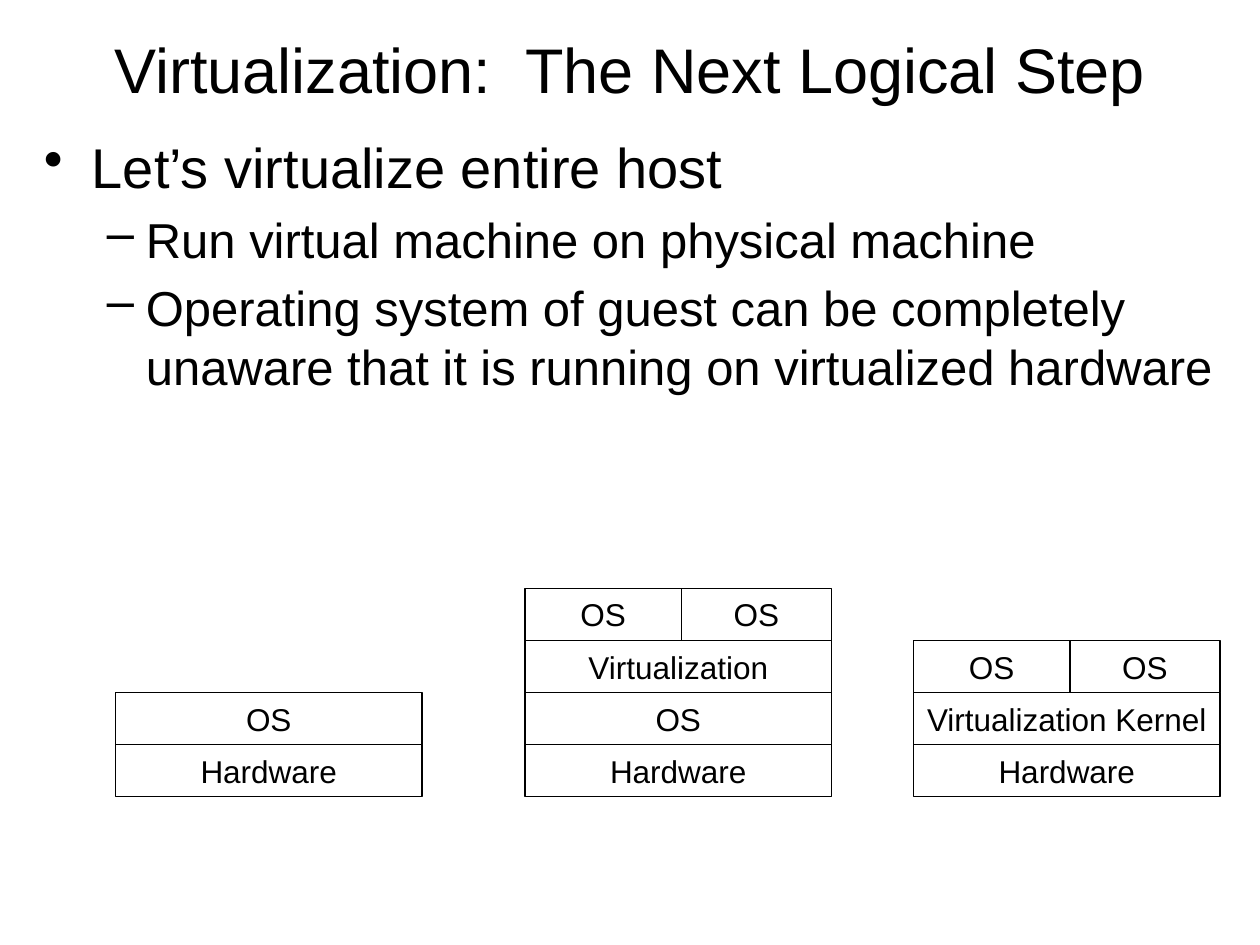
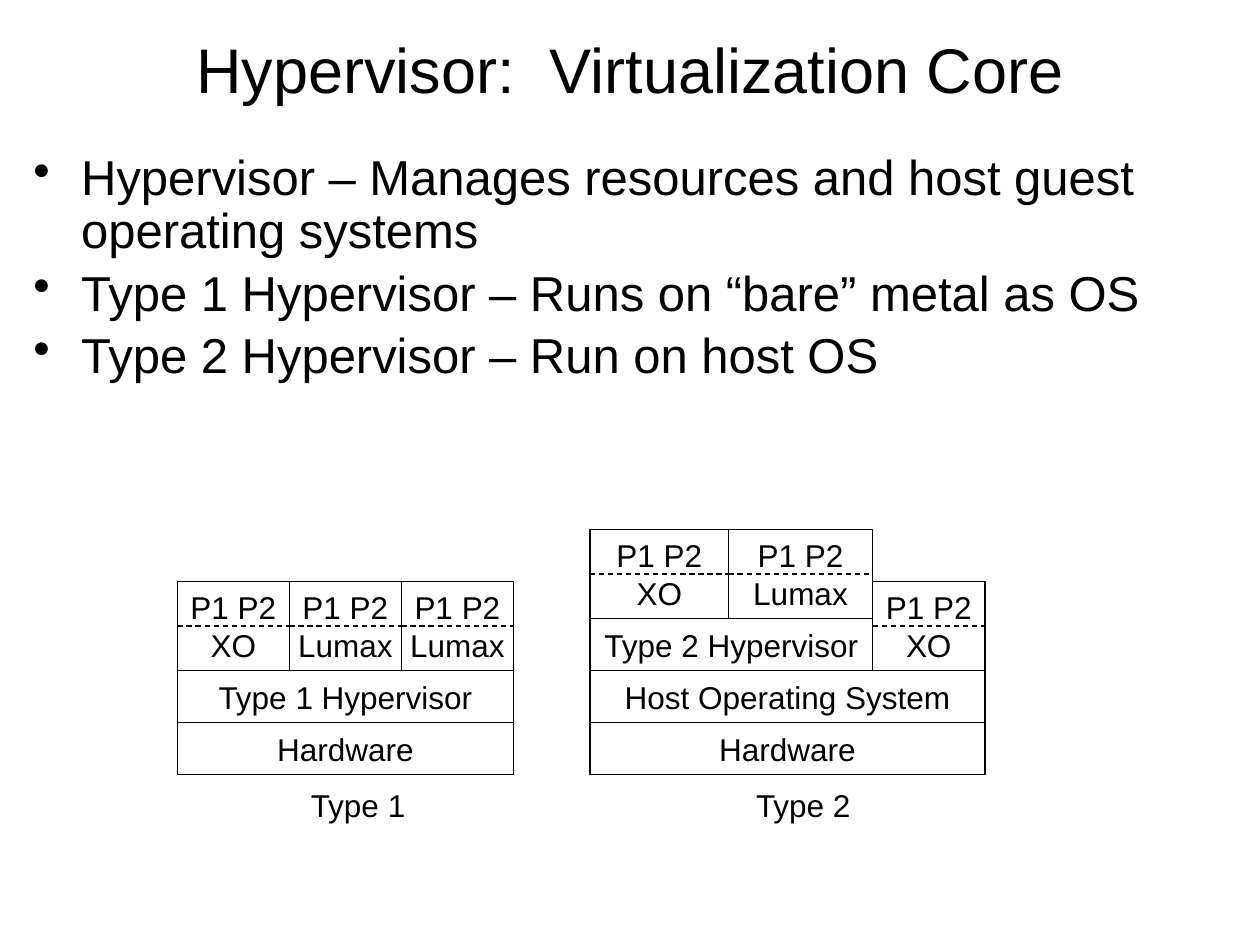
import pptx
import pptx.util
import pptx.dml.color
import pptx.enum.dml
import pptx.enum.shapes
import pptx.enum.text
import pptx.oxml
import pptx.oxml.ns
import lxml.etree

# Shared look: a grid of 120 columns by 90 rows
COLS, ROWS = 120, 90
WIDE, HIGH = pptx.util.Inches(10), pptx.util.Inches(7.5)
HUES = {"ink": "000000", "page": "FFFFFF"}
FACE = "Arial"
SIZE = {"title": 36, "top": 32, "sub": 28, "box": 18}
BOX, GUEST = 4.96, 8.5  # row heights of one-line and two-line boxes
LEVELS = [("•", 0.38, 0.38), ("–", 0.81, 0.31)]  # mark, indent, hang
MID = pptx.enum.text.MSO_ANCHOR.MIDDLE
TOP = pptx.enum.text.MSO_ANCHOR.TOP
CENTER = pptx.enum.text.PP_ALIGN.CENTER
LEFT = pptx.enum.text.PP_ALIGN.LEFT


def hue(name):
    return pptx.dml.color.RGBColor.from_string(HUES[name])


def place(left, top, width, height):
    """Turn grid columns and rows into slide lengths."""
    return [int(left * WIDE / COLS), int(top * HIGH / ROWS),
            int(width * WIDE / COLS), int(height * HIGH / ROWS)]


def style(item, looks):
    for key, value in looks.items():
        setattr(item, key, value)


def write(frame, lines, size, align=CENTER, anchor=MID, wrap=False):
    """Fill a text frame with one paragraph for each line."""
    style(frame, {"word_wrap": wrap, "vertical_anchor": anchor,
                  "auto_size": pptx.enum.text.MSO_AUTO_SIZE.NONE})
    frame.text = "\n".join(lines)
    for para in frame.paragraphs:
        para.alignment = align
        style(para.font, {"name": FACE, "size": pptx.util.Pt(size)})
        para.font.color.rgb = hue("ink")


def start(deck, title):
    """Add a slide with its title."""
    slide = deck.slides.add_slide(deck.slide_layouts[5])
    slide.background.fill.solid()
    slide.background.fill.fore_color.rgb = hue("page")
    head = slide.shapes.title
    style(head, dict(zip(("left", "top", "width", "height"),
                         place(6, 2, 108, 9))))
    write(head.text_frame, [title], SIZE["title"], wrap=True)
    return slide


def points(slide, area, items, space=1.0):
    """Add a bullet list; each item is (level, size, text)."""
    frame = slide.shapes.add_textbox(*place(*area)).text_frame
    write(frame, [text for _, _, text in items], SIZE["sub"], LEFT, TOP, True)
    for para, (level, size, _) in zip(frame.paragraphs, items):
        mark, indent, hang = LEVELS[level]
        para.font.size = pptx.util.Pt(size)
        style(para, {"level": level, "line_spacing": space,
                     "space_before": pptx.util.Pt(size * 0.2)})
        props = para._p.get_or_add_pPr()
        props.set("marL", str(pptx.util.Inches(indent)))
        props.set("indent", str(-pptx.util.Inches(hang)))
        bullet = lxml.etree.SubElement(props, pptx.oxml.ns.qn("a:buChar"))
        bullet.set("char", mark)


def box(slide, lines, area):
    rect = slide.shapes.add_shape(
        pptx.enum.shapes.MSO_SHAPE.RECTANGLE, *place(*area))
    rect.shadow.inherit = False
    rect.fill.background()
    edge(rect.line)
    write(rect.text_frame, lines, SIZE["box"])
    return rect


def edge(line):
    line.color.rgb = hue("ink")
    line.width = pptx.util.Pt(0.75)


def split(slide, rect):
    """Draw a dashed line across the middle of a guest box."""
    line = slide.shapes.add_connector(
        pptx.enum.shapes.MSO_CONNECTOR.STRAIGHT, 0, 0, 0, 0)
    line.begin_connect(rect, 1)
    line.end_connect(rect, 3)
    edge(line.line)
    line.line.dash_style = pptx.enum.dml.MSO_LINE.DASH
    lxml.etree.SubElement(line._element.spPr, pptx.oxml.ns.qn("a:effectLst"))


def stack(slide, left, floor, width, rows):
    """Pile rows upward; a row lists (lines, share of width). Return the top."""
    for row in rows:
        tall = GUEST if len(row[0][0]) > 1 else BOX
        floor -= tall
        col = left
        for lines, share in row:
            rect = box(slide, lines, (col, floor, width * share, tall))
            if len(lines) > 1:
                split(slide, rect)
            col += width * share
    return floor


def full(text):
    return [([text], 1)]


def guest(name, share=1):
    return (["P1 P2", name], share)


def label(slide, text, left):
    area = place(left, 74.3, 11.6, 4.8)
    write(slide.shapes.add_textbox(*area).text_frame, [text], SIZE["box"])


def host(deck):
    slide = start(deck, "Virtualization:  The Next Logical Step")
    points(slide, (3, 12, 115, 74), [
        (0, SIZE["top"], "Let’s virtualize entire host"),
        (1, SIZE["sub"], "Run virtual machine on physical machine"),
        (1, SIZE["sub"], "Operating system of guest can be completely "
                         "unaware that it is running on virtualized hardware"),
    ])
    # Plain host, hosted guests, guests on a kernel
    pair = [(["OS"], 0.51), (["OS"], 0.49)]
    base = full("Hardware")
    piles = {
        11: [base, full("OS")],
        50: [base, full("OS"), full("Virtualization"), pair],
        87: [base, full("Virtualization Kernel"), pair],
    }
    for left, rows in piles.items():
        stack(slide, left, 75.87, 29.2, rows)


def core(deck):
    slide = start(deck, "Hypervisor:  Virtualization Core")
    points(slide, (2, 14, 115, 35), [
        (0, SIZE["sub"], text) for text in (
            "Hypervisor – Manages resources and host guest operating systems",
            "Type 1 Hypervisor – Runs on “bare” metal as OS",
            "Type 2 Hypervisor – Run on host OS")
    ], 0.9)
    floor = 73.8
    # Type 1: three guests on the bare hypervisor
    trio = [guest(name, 1 / 3) for name in ("XO", "Lumax", "Lumax")]
    stack(slide, 16.9, floor, 32,
          [full("Hardware"), full("Type 1 Hypervisor"), trio])
    label(slide, "Type 1", 28.3)
    # Type 2: hypervisor beside a program on the host system
    left, wide, part = 56.2, 37.6, 26.9
    top = stack(slide, left, floor, wide,
                [full("Hardware"), full("Host Operating System")])
    stack(slide, left, top, part,
          [full("Type 2 Hypervisor"), [guest("XO", 0.49), guest("Lumax", 0.51)]])
    stack(slide, left + part, top, wide - part, [[guest("XO")]])
    label(slide, "Type 2", 70.7)


def main():
    deck = pptx.Presentation()
    style(deck, {"slide_width": WIDE, "slide_height": HIGH})
    host(deck)
    core(deck)
    deck.save("out.pptx")


if __name__ == "__main__":
    main()
